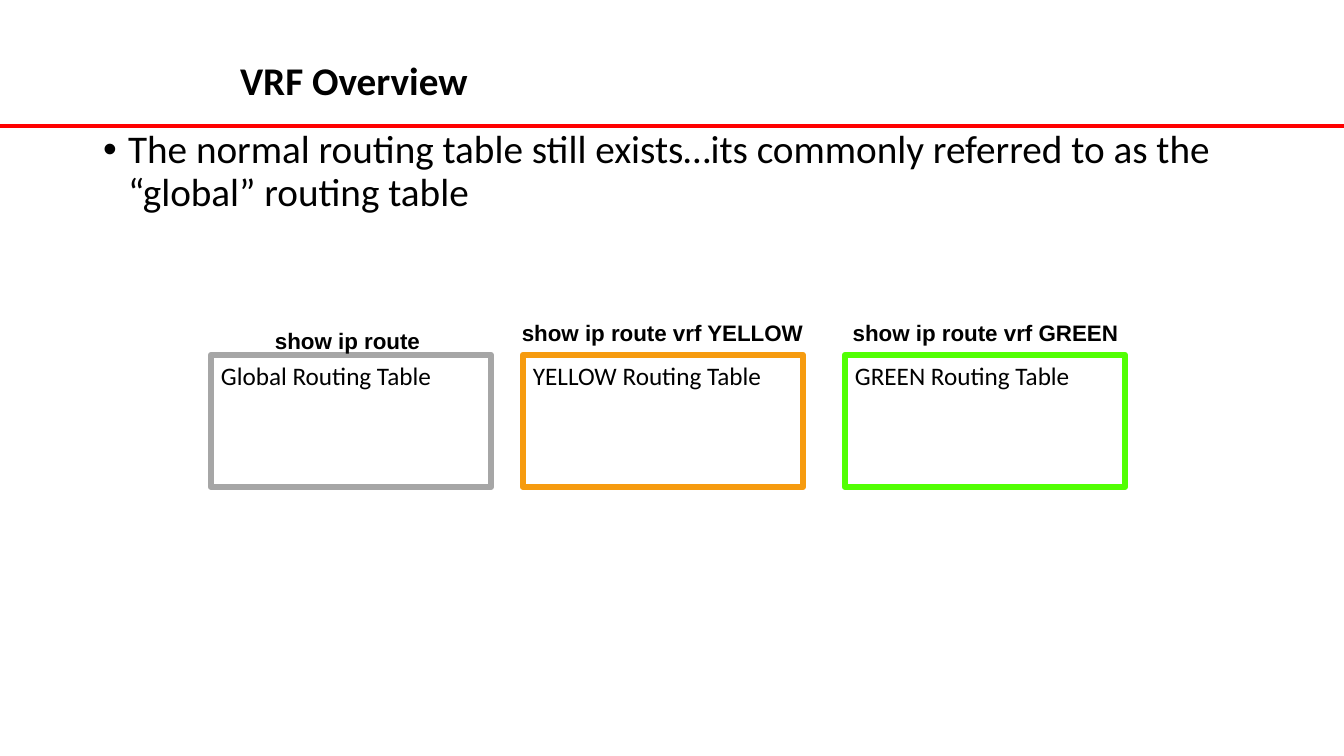
from lxml.etree import SubElement
from pptx import Presentation
from pptx.dml.color import RGBColor
from pptx.enum.shapes import MSO_CONNECTOR, MSO_SHAPE
from pptx.enum.text import MSO_ANCHOR, MSO_AUTO_SIZE, PP_ALIGN
from pptx.oxml.ns import qn
from pptx.util import Emu, Pt

INK = {
    "text": "000000",
    "rule": "FF0000",
    "gray": "A6A6A6",
    "amber": "F69B0F",
    "green": "52FF04",
}
WIDE, HIGH = 1344, 756
BOX_TOP, BOX_WIDE, BOX_HIGH = 355, 280, 132
CAP_HIGH = 37

# box left, box ink, box text, command, command left, top and width
TABLES = [
    (211, "gray", "Global Routing Table", "show ip route", 221, 322, 253),
    (523, "amber", "YELLOW Routing Table", "show ip route vrf YELLOW", 508, 314, 309),
    (845, "green", "GREEN Routing Table", "show ip route vrf GREEN", 831, 314, 309),
]


def px(n):
    return Emu(round(n * 914400 / 100.8))


def color(name):
    return RGBColor.from_string(INK[name])


def place(shape, left, top, wide, high):
    shape.left, shape.top = px(left), px(top)
    shape.width, shape.height = px(wide), px(high)


def write(shape, text, size=18, font="Calibri", bold=False,
          align=PP_ALIGN.LEFT, anchor=MSO_ANCHOR.TOP, lead=1.0, hang=0):
    """Fill a shape with one paragraph; hang is the bullet indent in px."""
    frame = shape.text_frame
    frame.word_wrap = True
    frame.auto_size = MSO_AUTO_SIZE.NONE
    frame.vertical_anchor = anchor
    para = frame.paragraphs[0]
    para.text = text
    para.alignment = align
    para.line_spacing = lead
    para.space_before = Pt(0)
    if hang:
        props = para._p.get_or_add_pPr()
        props.set("marL", str(px(hang)))
        props.set("indent", str(-px(hang)))
        SubElement(props, qn("a:buFont")).set("typeface", "Arial")
        SubElement(props, qn("a:buChar")).set("char", "•")
    face = para.font
    face.size, face.name, face.bold = Pt(size), font, bold
    face.color.rgb = color("text")


def add_rule(slide, y):
    rule = slide.shapes.add_connector(
        MSO_CONNECTOR.STRAIGHT, px(0), px(y), px(WIDE), px(y))
    rule.line.color.rgb = color("rule")
    rule.line.width = Pt(3)
    SubElement(rule._element.spPr, qn("a:effectLst"))


def add_box(slide, left, ink, text):
    box = slide.shapes.add_shape(
        MSO_SHAPE.RECTANGLE, px(left), px(BOX_TOP), px(BOX_WIDE), px(BOX_HIGH))
    box.shadow.inherit = False
    box.fill.background()
    box.line.color.rgb = color(ink)
    box.line.width = Pt(4.5)
    write(box, text)


def add_command(slide, text, left, top, wide):
    label = slide.shapes.add_textbox(px(left), px(top), px(wide), px(CAP_HIGH))
    write(label, text, size=16, font="Arial", bold=True, align=PP_ALIGN.CENTER)


def main():
    deck = Presentation()
    deck.slide_width, deck.slide_height = px(WIDE), px(HIGH)
    slide = deck.slides.add_slide(deck.slide_layouts[1])
    add_rule(slide, 126)

    title, body = slide.placeholders
    place(title, 230, 40, 1021, 85)
    write(title, "VRF Overview", size=28, bold=True,
          anchor=MSO_ANCHOR.MIDDLE, lead=0.9)
    place(body, 93, 125, 1159, 556)
    write(body, "The normal routing table still exists…its commonly "
          "referred to as the “global” routing table",
          size=28, lead=0.9, hang=25)

    for left, ink, name, command, *spot in TABLES:
        add_box(slide, left, ink, name)
        add_command(slide, command, *spot)

    deck.save("out.pptx")


if __name__ == "__main__":
    main()
